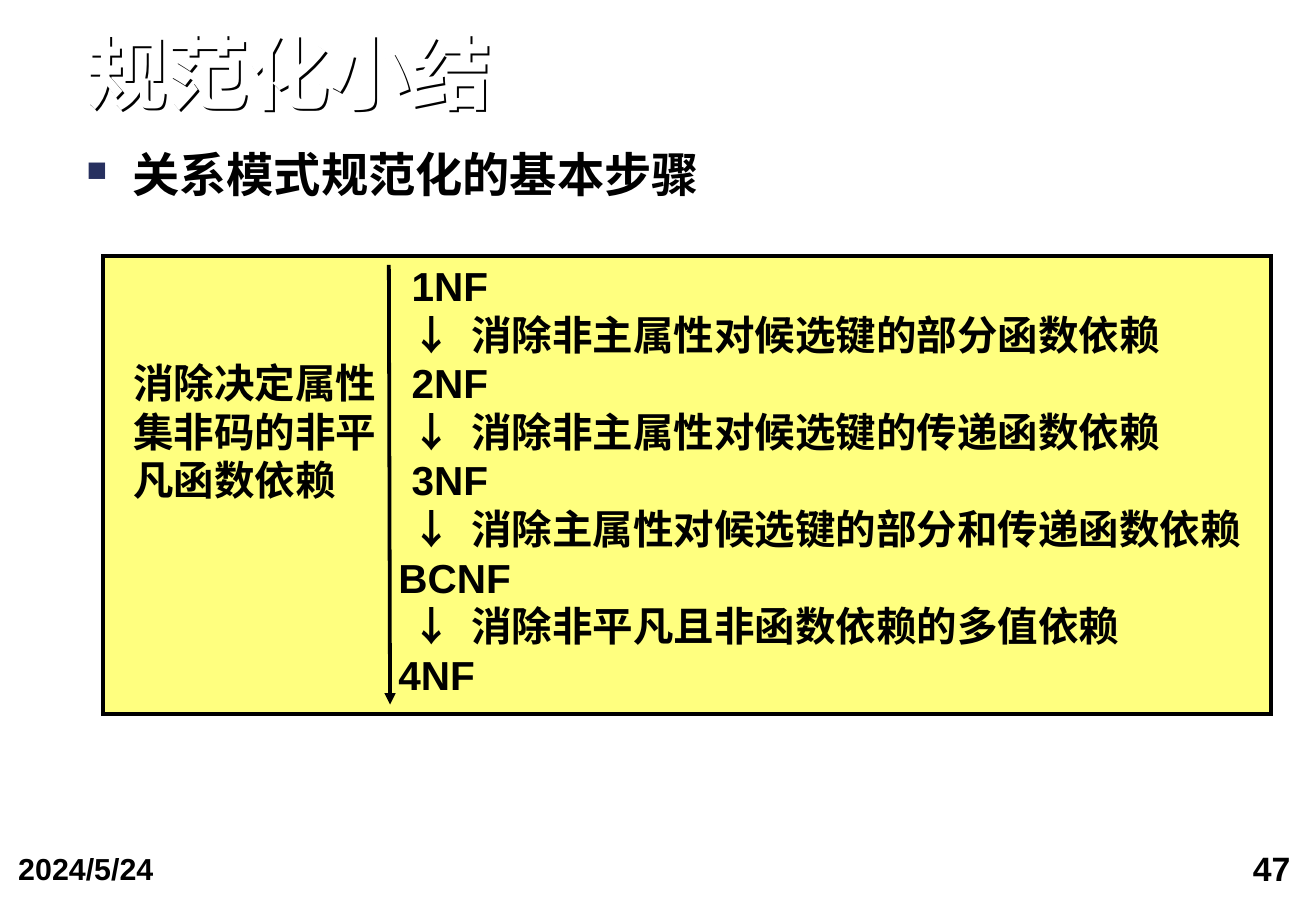
from lxml.etree import SubElement
from pptx import Presentation
from pptx.dml.color import RGBColor
from pptx.enum.shapes import MSO_CONNECTOR, MSO_SHAPE
from pptx.enum.text import MSO_ANCHOR, MSO_AUTO_SIZE, PP_ALIGN
from pptx.oxml.ns import qn
from pptx.util import Inches, Pt


def place(shape, left, top, width, height):
    shape.left, shape.top = Inches(left), Inches(top)
    shape.width, shape.height = Inches(width), Inches(height)


def style(item, size, name="Arial", color="000000"):
    item.font.size = Pt(size)
    item.font.name = name
    item.font.bold = True
    item.font.color.rgb = RGBColor.from_string(color)


deck = Presentation()
deck.slide_width, deck.slide_height = Inches(10.83), Inches(7.5)
page = deck.slides.add_slide(deck.slide_layouts[5])

title = page.shapes.title
place(title, 0.71, 0.28, 9.65, 0.72)
title.text_frame.text = "规范化小结"
title.text_frame.vertical_anchor = MSO_ANCHOR.BOTTOM

heading = page.shapes.add_textbox(0, 0, 0, 0)
place(heading, 0.71, 1.25, 9.65, 0.42)
heading.text_frame.text = "关系模式规范化的基本步骤"

for box in (title, heading):
    frame = box.text_frame
    frame.word_wrap = True
    frame.auto_size = MSO_AUTO_SIZE.NONE
    frame.margin_left = frame.margin_right = frame.margin_top = frame.margin_bottom = 0
    frame.paragraphs[0].alignment = PP_ALIGN.LEFT
    frame.paragraphs[0].line_spacing = 0.9

style(title.text_frame.paragraphs[0].runs[0], 48, color="FFFFFF")
title.fill.background()
effects = SubElement(title._element.spPr, qn("a:effectLst"))
shadow = SubElement(effects, qn("a:outerShdw"), dist=str(Pt(1.7)), dir="2700000",
                    algn="ctr", rotWithShape="0")
SubElement(shadow, qn("a:srgbClr"), val="000000")

para = heading.text_frame.paragraphs[0]
properties = para._p.get_or_add_pPr()
properties.set("marL", str(Inches(0.38)))
properties.set("indent", str(-Inches(0.38)))
bullet_color = SubElement(properties, qn("a:buClr"))
SubElement(bullet_color, qn("a:srgbClr"), val="27305F")
SubElement(properties, qn("a:buSzPct"), val="60000")
SubElement(properties, qn("a:buChar"), char="■")
style(para.runs[0], 28, "Times New Roman")

panel = page.shapes.add_shape(MSO_SHAPE.RECTANGLE, 0, 0, 0, 0)
place(panel, 0.85, 2.11, 9.61, 3.77)
panel.shadow.inherit = False
panel.fill.solid()
panel.fill.fore_color.rgb = RGBColor.from_string("FFFF00")
SubElement(panel.fill._xPr.find(qn("a:solidFill"))[0], qn("a:alpha"), val="50000")

arrow = page.shapes.add_connector(
    MSO_CONNECTOR.STRAIGHT, Inches(3.2), Inches(2.18), Inches(3.21), Inches(5.8))
for outlined in (panel, arrow):
    outlined.line.color.rgb = RGBColor.from_string("000000")
    outlined.line.width = Pt(2.25)
SubElement(panel.line._get_or_add_ln(), qn("a:miter"), lim="800000")
SubElement(arrow.line._get_or_add_ln(), qn("a:tailEnd"), type="triangle")
SubElement(arrow._element.spPr, qn("a:effectLst"))

steps = [
    ("", "1NF", ""),
    ("", "↓", "消除非主属性对候选键的部分函数依赖"),
    ("消除决定属性", "2NF", ""),
    ("集非码的非平", "↓", "消除非主属性对候选键的传递函数依赖"),
    ("凡函数依赖", "3NF", ""),
    ("", "↓", "消除主属性对候选键的部分和传递函数依赖"),
    ("", "BCNF", ""),
    ("", "↓", "消除非平凡且非函数依赖的多值依赖"),
    ("", "4NF", ""),
]
steps_box = page.shapes.add_textbox(0, 0, 0, 0)
place(steps_box, 1, 2.1, 9.84, 3.75)
frame = steps_box.text_frame
frame.word_wrap = True
for index, (side_note, mark, action) in enumerate(steps):
    para = frame.paragraphs[0] if index == 0 else frame.add_paragraph()
    tabs = SubElement(para._p.get_or_add_pPr(), qn("a:tabLst"))
    mark_stop = 2.18 if mark in ("BCNF", "4NF") else 2.29
    for stop in (mark_stop, 2.78):
        SubElement(tabs, qn("a:tab"), pos=str(Inches(stop)), algn="l")
    line = f"{side_note}\t{mark}" + (f"\t{action}" if action else "")
    for part in line.partition("候选键"):
        if part:
            span = para.add_run()
            span.text = part
            style(span, 24, "Times New Roman" if part == "候选键" else "Arial")

footers = [
    ("47", 20, PP_ALIGN.RIGHT, (8.01, 6.92, 2.74, 0.58)),
    ("2024/5/24", 18, PP_ALIGN.LEFT, (0.02, 6.94, 2.51, 0.63)),
]
for text, size, alignment, bounds in footers:
    footer = page.shapes.add_textbox(0, 0, 0, 0)
    place(footer, *bounds)
    frame = footer.text_frame
    frame.word_wrap = True
    frame.margin_left = frame.margin_right = Inches(0.13)
    frame.margin_top = frame.margin_bottom = Inches(0.06)
    frame.text = text
    frame.paragraphs[0].alignment = alignment
    style(frame.paragraphs[0].runs[0], size)

deck.save("out.pptx")
